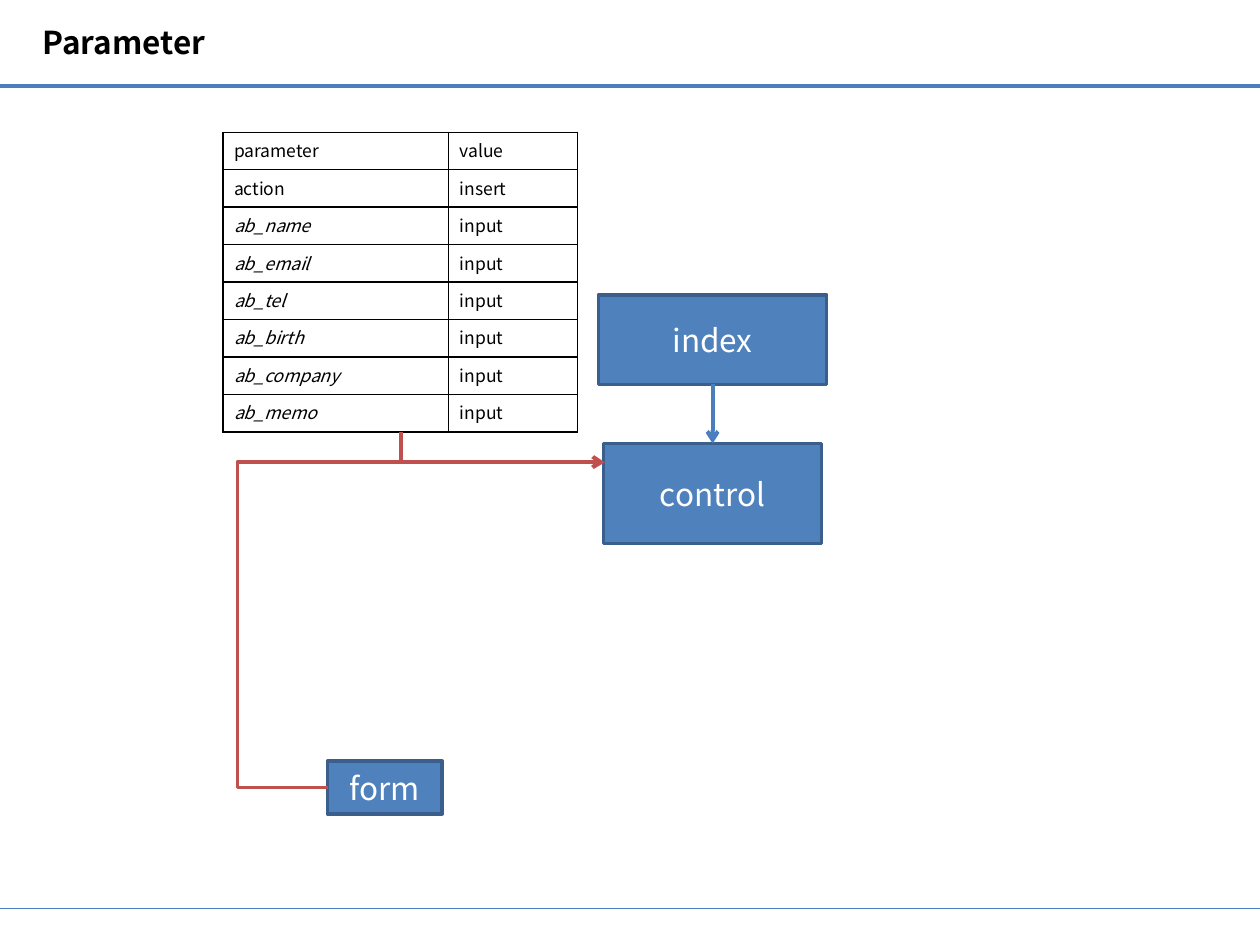
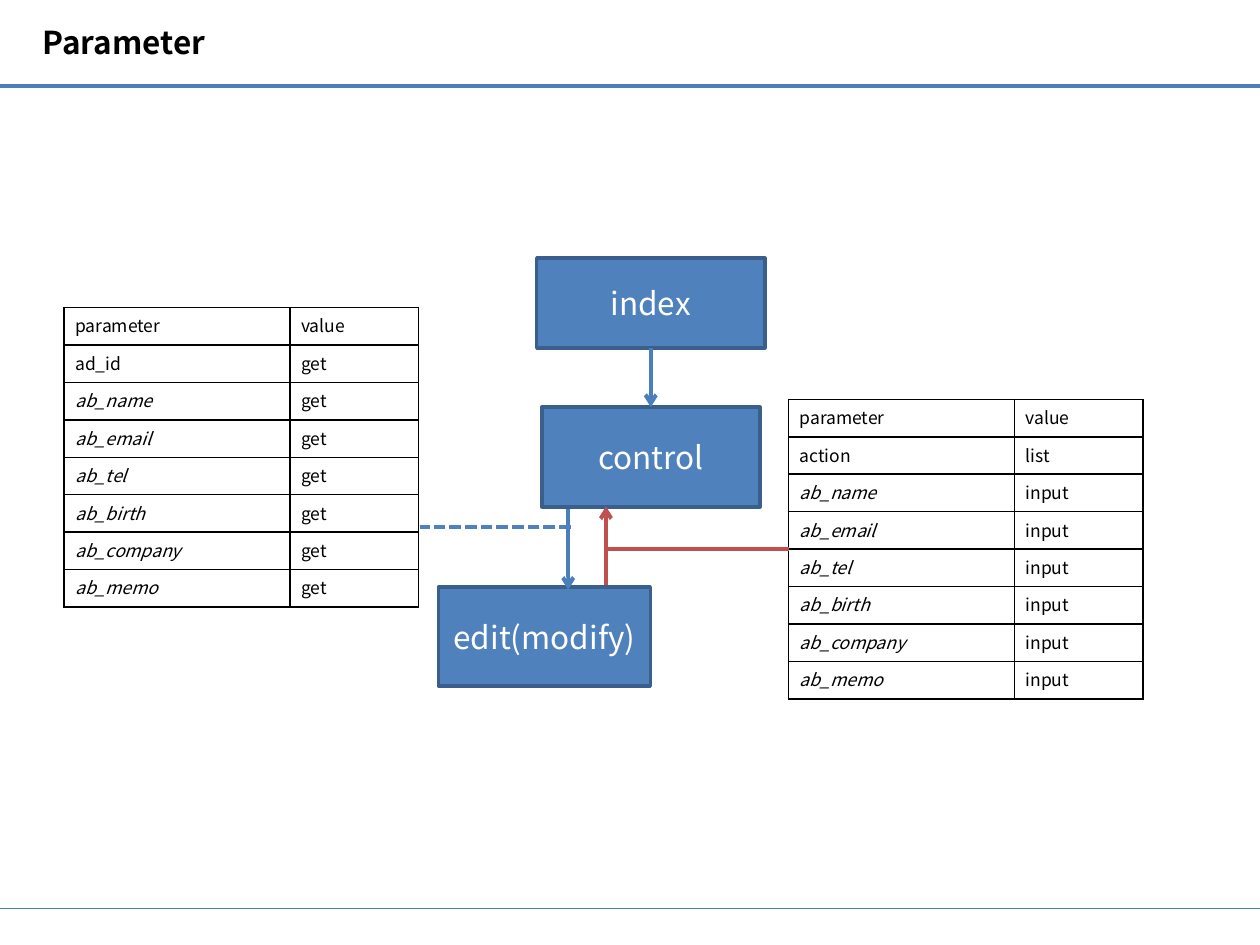
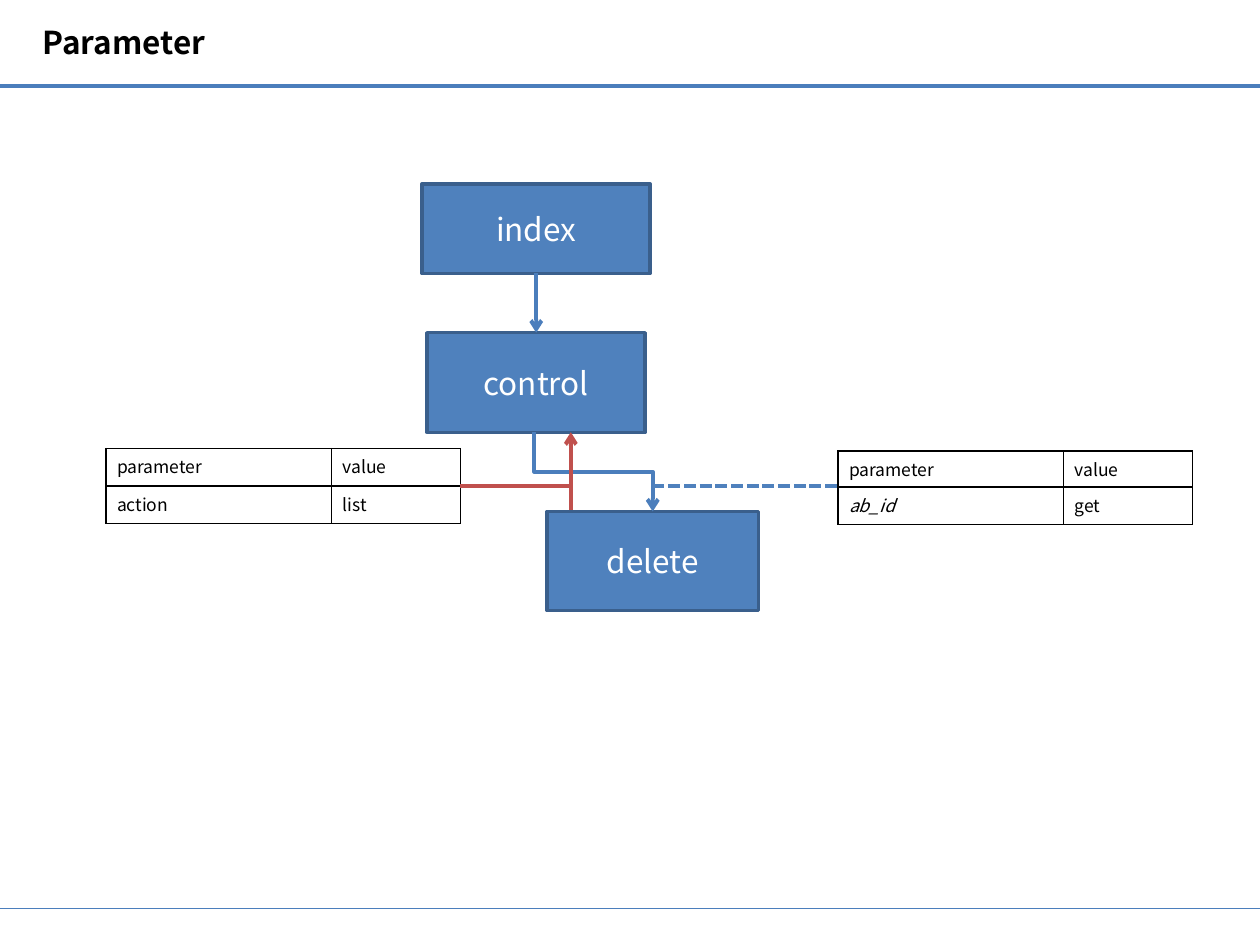
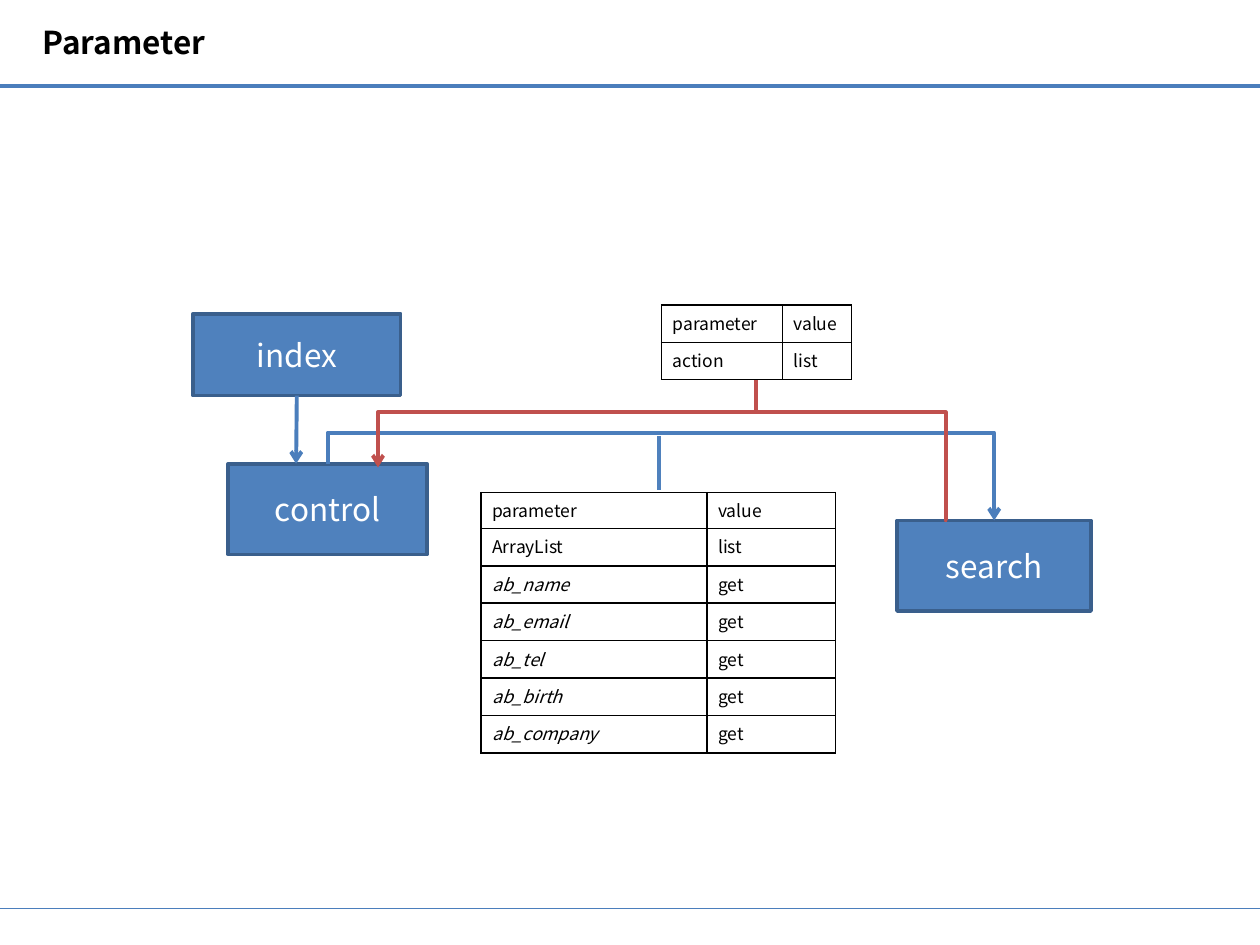
from dataclasses import dataclass
from lxml import etree
from pptx import Presentation
from pptx.dml.color import RGBColor
from pptx.enum.dml import MSO_LINE
from pptx.enum.shapes import MSO_CONNECTOR as CONNECTOR, MSO_SHAPE as SHAPE
from pptx.enum.text import MSO_ANCHOR as ANCHOR, PP_ALIGN as ALIGN
from pptx.oxml.ns import qn
from pptx.util import Pt


@dataclass(frozen=True)
class Theme:
    font: str = "Noto Sans CJK KR"
    black: str = "000000"
    white: str = "FFFFFF"
    box_fill: str = "4F81BD"
    box_line: str = "3A5F8C"
    blue: str = "4B7EBC"
    light_blue: str = "4F81BD"
    red: str = "C0504D"
    large: float = 18
    small: float = 10
    arrow_width: float = 2.25


@dataclass(frozen=True)
class Box:
    left: float
    top: float
    width: float
    height: float

    def point(self, x, y):
        return self.left + x, self.top + y


THEME = Theme()
PAGE = Box(0, 0, 720, 540)
BODY = Box(0, 49, 720, 470.2)
INDEX_SIZE = (130.4, 51.2)
CONTROL_SIZE = (124.6, 57)
ACTION_SIZE = (121, 56.5)
CONTROL_DROP = 85
WIDE_COLUMNS = (129, 73.6)
NARROW_COLUMNS = (69.1, 39.6)
ROW_HEIGHT = 21.42
SHORT_ROW = 18
FIELDS = ["ab_name", "ab_email", "ab_tel", "ab_birth", "ab_company", "ab_memo"]


def color(code):
    return RGBColor.from_string(code)


def points(*lengths):
    return [Pt(length) for length in lengths]


def style_text(paragraph, size, code, bold=False, italic=False):
    font = paragraph.font
    font.name, font.size = THEME.font, Pt(size)
    font.bold, font.italic = bold, italic
    font.color.rgb = color(code)


def style_connector(connector, code, width, arrow):
    connector.line.color.rgb = color(code)
    connector.line.width = Pt(width)
    if arrow:
        line = connector.line._get_or_add_ln()
        etree.SubElement(line, qn("a:tailEnd"), type="arrow")
    etree.SubElement(connector._element.spPr, qn("a:effectLst"))


def add_line(slide, start, end, code, arrow=False, dashed=False, width=THEME.arrow_width):
    connector = slide.shapes.add_connector(CONNECTOR.STRAIGHT, *points(*start, *end))
    if dashed:
        connector.line.dash_style = MSO_LINE.SQUARE_DOT
    style_connector(connector, code, width, arrow)
    return connector


def add_elbow(slide, start, end, code, rotation, flip, adjustments=()):
    width, height = abs(end[0] - start[0]), abs(end[1] - start[1])
    center_x, center_y = (start[0] + end[0]) / 2, (start[1] + end[1]) / 2
    if rotation == 270:
        width, height = height, width
    left, top = center_x - width / 2, center_y - height / 2
    connector = slide.shapes.add_connector(
        CONNECTOR.ELBOW, *points(left, top, left + width, top + height))
    properties = connector._element.spPr
    frame = properties.find(qn("a:xfrm"))
    frame.set("rot", str(rotation * 60000))
    if flip:
        frame.set("flipH", "1")
    geometry = properties.find(qn("a:prstGeom"))
    if len(adjustments) == 2:
        geometry.set("prst", "bentConnector4")
    guides = geometry.find(qn("a:avLst"))
    for number, value in enumerate(adjustments, 1):
        etree.SubElement(guides, qn("a:gd"), name=f"adj{number}",
                         fmla=f"val {round(value * 100000)}")
    style_connector(connector, code, THEME.arrow_width, True)


def add_node(slide, place, size, label):
    shape = slide.shapes.add_shape(SHAPE.RECTANGLE, *points(*place, *size))
    shape.shadow.inherit = False
    shape.fill.solid()
    shape.fill.fore_color.rgb = color(THEME.box_fill)
    shape.line.color.rgb = color(THEME.box_line)
    shape.line.width = Pt(2)
    shape.text_frame.vertical_anchor = ANCHOR.MIDDLE
    paragraph = shape.text_frame.paragraphs[0]
    paragraph.text = label
    paragraph.alignment = ALIGN.CENTER
    style_text(paragraph, THEME.large, THEME.white)
    return shape


def add_index_and_control(slide, place):
    left, top = place
    index = add_node(slide, place, INDEX_SIZE, "index")
    control_left = left + (INDEX_SIZE[0] - CONTROL_SIZE[0]) / 2
    control = add_node(slide, (control_left, top + CONTROL_DROP), CONTROL_SIZE, "control")
    arrow = add_line(slide, place, place, THEME.blue, arrow=True)
    arrow.begin_connect(index, 2)
    arrow.end_connect(control, 0)


def add_border(cell):
    properties = cell._tc.get_or_add_tcPr()
    for position, side in enumerate(("lnL", "lnR", "lnT", "lnB")):
        line = etree.Element(qn(f"a:{side}"), w=str(Pt(1)))
        fill = etree.SubElement(line, qn("a:solidFill"))
        etree.SubElement(fill, qn("a:srgbClr"), val=THEME.black)
        properties.insert(position, line)


def add_parameter_table(slide, place, rows, columns=WIDE_COLUMNS, heading_height=ROW_HEIGHT):
    rows = [("parameter", "value"), *rows]
    heights = [heading_height] + [ROW_HEIGHT] * (len(rows) - 1)
    frame = slide.shapes.add_table(
        len(rows), len(columns), *points(*place, sum(columns), sum(heights)))
    table = frame.table
    table.first_row = table.horz_banding = False
    for column, width in zip(table.columns, columns):
        column.width = Pt(width)
    for row, height, texts in zip(table.rows, heights, rows):
        row.height = Pt(height)
        for cell, text in zip(row.cells, texts):
            cell.margin_left = cell.margin_right = Pt(6.4)
            cell.margin_top = cell.margin_bottom = Pt(3)
            cell.fill.background()
            add_border(cell)
            paragraph = cell.text_frame.paragraphs[0]
            paragraph.text = text
            style_text(paragraph, THEME.small, THEME.black, italic=text.startswith("ab_"))


def field_rows(value, names=FIELDS):
    return [(name, value) for name in names]


def add_rules_to_layout(slide, page):
    for y, width in ((BODY.top, 2.25), (BODY.top + BODY.height, 0.75)):
        rule = add_line(slide, page.point(0, y), page.point(page.width, y),
                        THEME.blue, width=width)
        slide.slide_layout.shapes._spTree.append(rule._element)


def add_title(slide, page):
    title = slide.shapes.add_textbox(*points(*page.point(17.2, 9.4), 172.8, 29))
    title.text_frame.word_wrap = True
    paragraph = title.text_frame.paragraphs[0]
    paragraph.text = "Parameter"
    style_text(paragraph, THEME.large, THEME.black, bold=True)


def build_insert(slide, body):
    at = body.point
    add_index_and_control(slide, at(342, 119.5))
    add_node(slide, at(187.2, 385.9), (65.5, 30.2), "form")
    add_elbow(slide, at(187.2, 401), at(345.6, 215.2), THEME.red, 180, True, (-0.325, 1.001))
    add_parameter_table(slide, at(127.4, 26.6), [("action", "insert"), *field_rows("input")])
    add_line(slide, at(229, 198), at(229, 215.2), THEME.red)


def build_edit(slide, body):
    at = body.point
    add_index_and_control(slide, at(306.7, 98.6))
    add_node(slide, at(250.6, 286.5), ACTION_SIZE, "edit(modify)")
    add_line(slide, at(324.7, 241.9), at(324.7, 288), THEME.blue, arrow=True)
    add_parameter_table(slide, at(450.7, 179.2), [("action", "list"), *field_rows("input")])
    add_line(slide, at(450.7, 264.9), at(346.3, 264.9), THEME.red)
    add_line(slide, at(346.3, 285.1), at(346.3, 240.4), THEME.red, arrow=True)
    add_line(slide, at(326.2, 252), at(239.8, 252), THEME.light_blue, dashed=True)
    add_parameter_table(slide, at(36.7, 126.7), [("ad_id", "get"), *field_rows("get")])


def build_delete(slide, body):
    at = body.point
    add_index_and_control(slide, at(241.2, 56.1))
    add_node(slide, at(312.5, 243.3), ACTION_SIZE, "delete")
    add_elbow(slide, at(305.3, 198), at(373, 243.3), THEME.blue, 270, True)
    add_parameter_table(slide, at(60.5, 207.3), [("action", "list")])
    add_line(slide, at(325, 228.9), at(262.8, 228.9), THEME.red)
    add_line(slide, at(326.2, 242.6), at(326.2, 198), THEME.red, arrow=True)
    add_parameter_table(slide, at(478.8, 208.8), [("ab_id", "get")], heading_height=SHORT_ROW)
    add_line(slide, at(373, 228.9), at(478.8, 228.9), THEME.light_blue, dashed=True)


def build_search(slide, body):
    at = body.point
    add_line(slide, at(376.6, 200.1), at(376.6, 231.1), THEME.light_blue)
    add_parameter_table(slide, at(378, 125.2), [("action", "list")], NARROW_COLUMNS)
    add_line(slide, at(432, 168.4), at(432, 186.4), THEME.red)
    add_parameter_table(slide, at(275, 232.5),
                        [("ArrayList", "list"), *field_rows("get", FIELDS[:-1])],
                        heading_height=SHORT_ROW)
    index = add_node(slide, at(110.2, 130.3), (118.8, 46.8), "index")
    add_node(slide, at(130.3, 216), (113.8, 51.8), "control")
    arrow = add_line(slide, at(169.6, 177.1), at(169.2, 216), THEME.blue, arrow=True)
    arrow.begin_connect(index, 2)
    add_node(slide, at(512.6, 248.4), (110.9, 51.8), "search")
    add_elbow(slide, at(187.2, 216), at(568.1, 248.4), THEME.blue, 270, True, (-0.55,))
    add_elbow(slide, at(540.7, 248.4), at(216, 218.1), THEME.red, 180, False, (0.001, 2.043))


def main():
    presentation = Presentation()
    presentation.slide_width, presentation.slide_height = points(PAGE.width, PAGE.height)
    blank = presentation.slide_layouts[6]
    for number, build in enumerate((build_insert, build_edit, build_delete, build_search)):
        slide = presentation.slides.add_slide(blank)
        if number == 0:
            add_rules_to_layout(slide, PAGE)
        build(slide, BODY)
        add_title(slide, PAGE)
    presentation.save("out.pptx")


if __name__ == "__main__":
    main()
